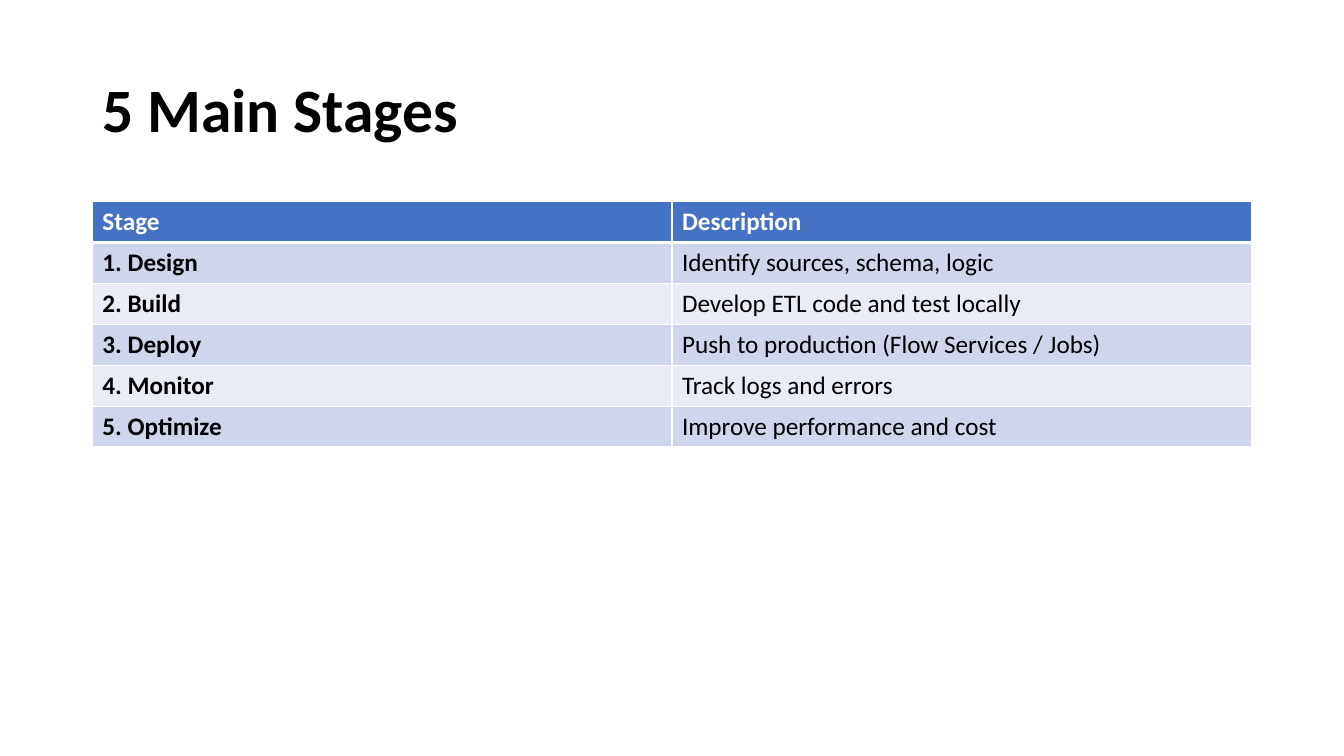
import dataclasses

import lxml.etree
import pptx
import pptx.dml.color
import pptx.enum.text
import pptx.oxml.ns
import pptx.util

PX = 9525
LEFT, WIDTH = 88, 1104
TABLE_TOP, ROW_HEIGHT = 192, 39
FONT = "Calibri"
BLACK, WHITE, HEADER_BLUE = "000000", "FFFFFF", "4472C4"
BANDS = ("CFD5EA", "E9EBF5")
MIDDLE = pptx.enum.text.MSO_ANCHOR.MIDDLE


@dataclasses.dataclass(frozen=True)
class Stage:
    """A table row naming a stage and what it does."""

    name: str
    description: str


HEADER = Stage("Stage", "Description")
STAGES = (
    Stage("1. Design", "Identify sources, schema, logic"),
    Stage("2. Build", "Develop ETL code and test locally"),
    Stage("3. Deploy", "Push to production (Flow Services / Jobs)"),
    Stage("4. Monitor", "Track logs and errors"),
    Stage("5. Optimize", "Improve performance and cost"),
)


def px(n: int) -> pptx.util.Emu:
    """Convert whole pixels to EMU."""
    return pptx.util.Emu(n * PX)


def rgb(value: str) -> pptx.dml.color.RGBColor:
    """Convert a hex string to a colour."""
    return pptx.dml.color.RGBColor.from_string(value)


def write(tf, text: str, *, size: int, color: str = BLACK, bold: bool = False,
          spacing: float = 1.0) -> None:
    """Write one formatted paragraph into a text frame."""
    p = tf.paragraphs[0]
    p.line_spacing = spacing
    r = p.add_run()
    r.text = text
    r.font.name = FONT
    r.font.size = pptx.util.Pt(size)
    r.font.bold = bold
    r.font.color.rgb = rgb(color)


def add_border(cell, side: str, points: int) -> None:
    """Give one side of a cell a white line."""
    qn = pptx.oxml.ns.qn
    tc_pr = cell._tc.get_or_add_tcPr()
    ln = lxml.etree.SubElement(tc_pr, qn(f"a:ln{side}"), w=str(pptx.util.Pt(points)))
    fill = lxml.etree.SubElement(ln, qn("a:solidFill"))
    lxml.etree.SubElement(fill, qn("a:srgbClr"), val=WHITE)


def add_title(s, text: str) -> None:
    """Add the slide heading."""
    tf = s.shapes.add_textbox(px(LEFT), px(38), px(WIDTH), px(139)).text_frame
    tf.word_wrap = True
    tf.vertical_anchor = MIDDLE
    write(tf, text, size=44, bold=True, spacing=0.9)


def add_stage_table(s, rows: tuple[Stage, ...]) -> None:
    """Add the banded table of stages with its header row."""
    table = s.shapes.add_table(len(rows), 2, px(LEFT), px(TABLE_TOP), px(WIDTH),
                               px(ROW_HEIGHT * len(rows))).table
    for i, stage in enumerate(rows):
        is_header = i == 0
        for j, text in enumerate((stage.name, stage.description)):
            cell = table.cell(i, j)
            cell.vertical_anchor = MIDDLE
            for side in "LRTB":
                under_header = (i, side) in ((0, "B"), (1, "T"))
                add_border(cell, side, 3 if under_header else 1)
            cell.fill.solid()
            cell.fill.fore_color.rgb = rgb(HEADER_BLUE if is_header else BANDS[(i - 1) % 2])
            write(cell.text_frame, text, size=18, bold=is_header or j == 0,
                  color=WHITE if is_header else BLACK)


def main() -> None:
    """Build the slide and save it."""
    prs = pptx.Presentation()
    prs.slide_width, prs.slide_height = px(1280), px(720)
    s = prs.slides.add_slide(prs.slide_layouts[6])
    add_title(s, "5 Main Stages")
    add_stage_table(s, (HEADER, *STAGES))
    prs.save("out.pptx")


if __name__ == "__main__":
    main()
